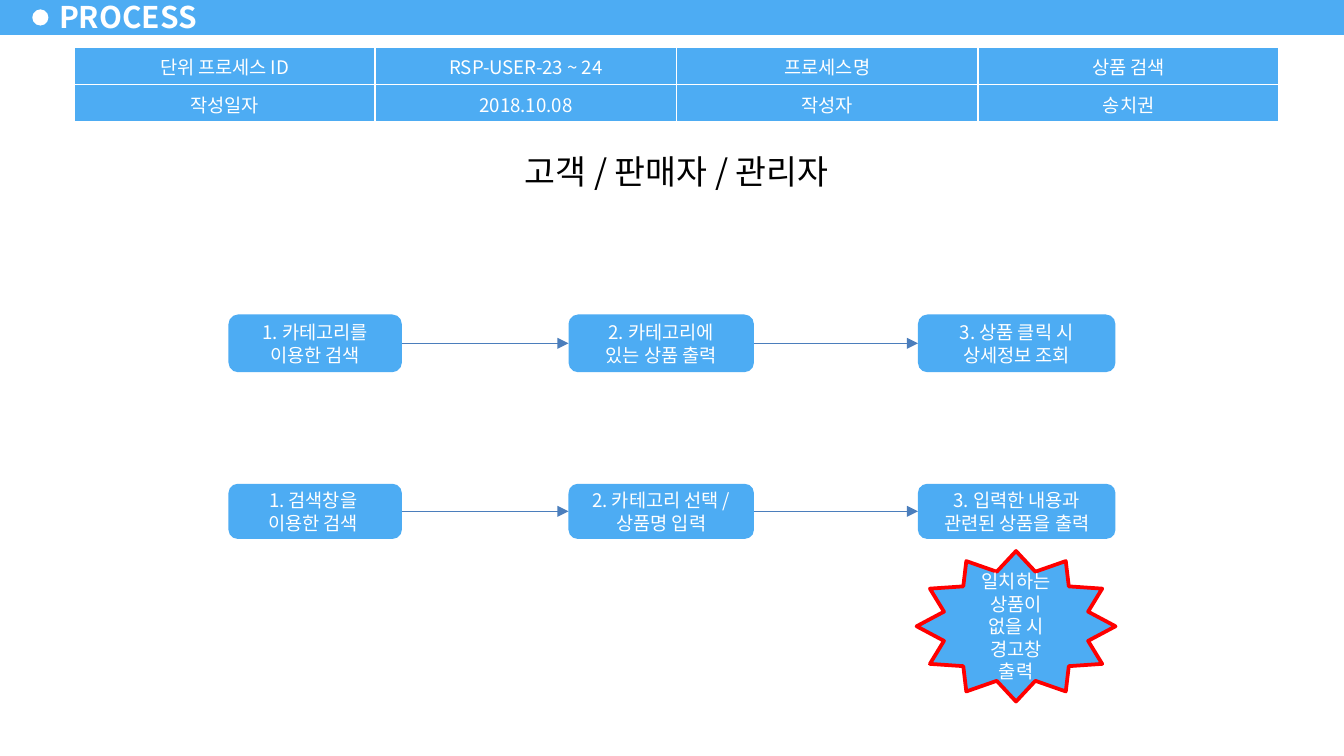
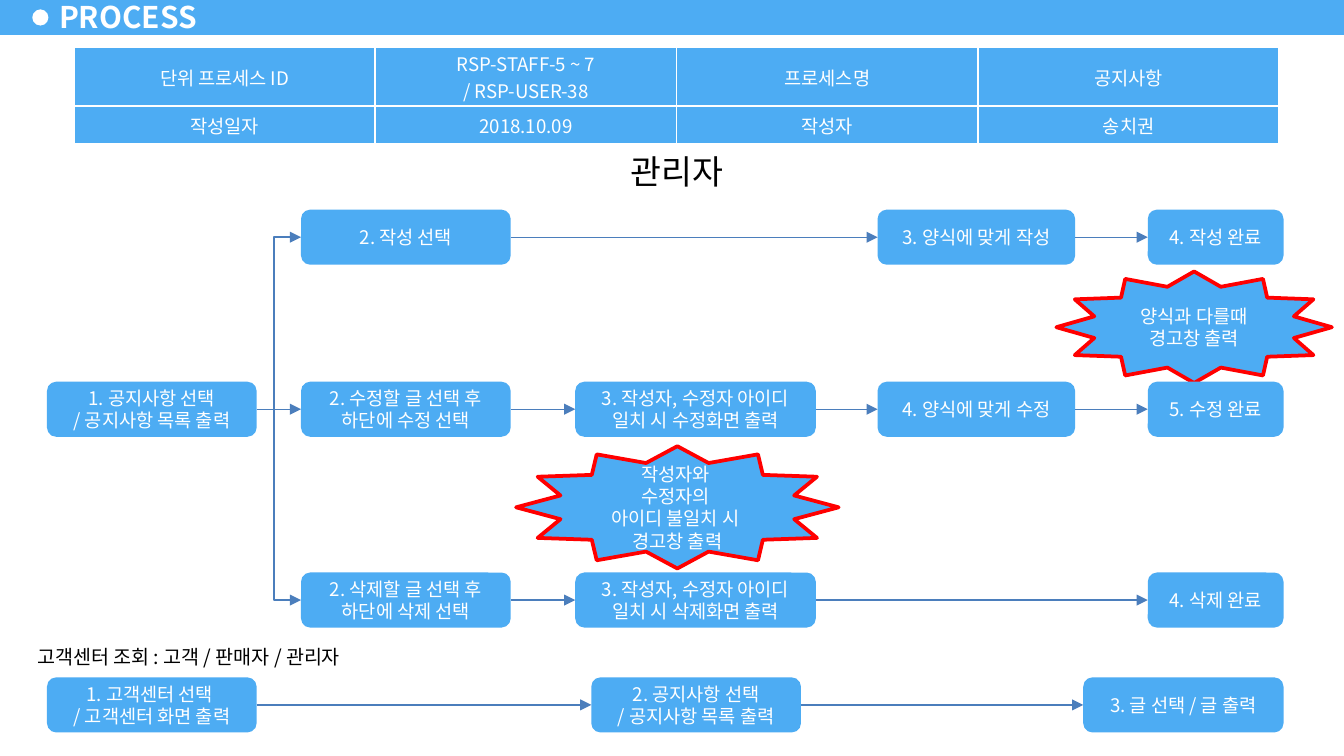
from dataclasses import dataclass

from lxml.etree import SubElement
from pptx import Presentation
from pptx.dml.color import RGBColor
from pptx.enum.shapes import MSO_CONNECTOR, MSO_SHAPE
from pptx.enum.text import MSO_ANCHOR, MSO_AUTO_SIZE, PP_ALIGN
from pptx.oxml.ns import qn
from pptx.util import Inches, Pt


@dataclass(frozen=True)
class Theme:
    """Colours, type sizes and line weights of the deck."""

    font: str = "Noto Sans CJK KR"
    blue: str = "4DACF3"
    arrow: str = "4B7EBC"
    red: str = "FF0000"
    white: str = "FFFFFF"
    black: str = "000000"
    title: float = 16
    heading: float = 18
    caption: float = 10.5
    body: float = 10
    thin: float = 0.75
    border: float = 1
    alert: float = 2


THEME = Theme()
LEFT_SIDE, RIGHT_SIDE = 1, 3
BOX_HEIGHT = 0.41
SEARCH_COLUMNS = [(1.7, 1.29), (4.23, 1.38), (6.83, 1.47)]
SEARCH_ROWS = [(2.34, 0.43), (3.6, 0.41)]
MENU, ACTION, CHECK, FORM, DONE = (
    (0.35, 1.56), (2.24, 1.56), (4.28, 1.79), (6.53, 1.47), (8.54, 1.01))
NOTICE, READ = (4.4, 1.56), (8.06, 1.49)
WRITE_ROW, EDIT_ROW, DELETE_ROW, CENTER_ROW = 1.56, 2.84, 4.26, 5.04
BRANCH = 2.04


def colour(value):
    """Turn a hex string into a colour."""
    return RGBColor.from_string(value)


def add_text(frame, text, size, ink, align=PP_ALIGN.CENTER, bold=False):
    """Write paragraphs split at newlines, with line breaks at vertical tabs."""
    for index, block in enumerate(text.split("\n")):
        para = frame.add_paragraph() if index else frame.paragraphs[0]
        para.alignment = align
        for number, line in enumerate(block.split("\v")):
            if number:
                para.add_line_break()
            span = para.add_run()
            span.text = line
            span.font.name = THEME.font
            span.font.size = Pt(size)
            span.font.bold = bold
            span.font.color.rgb = colour(ink)
            SubElement(span.font._element, qn("a:ea"), typeface=THEME.font)


def add_block(page, kind, area, fill, line=None):
    """Draw a filled preset shape without shadow."""
    shape = page.shapes.add_shape(kind, *map(Inches, area))
    shape.shadow.inherit = False
    shape.fill.solid()
    shape.fill.fore_color.rgb = colour(fill)
    if line:
        shape.line.color.rgb = colour(line)
        shape.line.width = Pt(THEME.alert)
    else:
        shape.line.fill.background()
    return shape


def add_step(page, column, top, text, height=BOX_HEIGHT):
    """Draw one rounded process step."""
    left, width = column
    box = add_block(page, MSO_SHAPE.ROUNDED_RECTANGLE,
                    (left, top, width, height), THEME.blue)
    box.text_frame.vertical_anchor = MSO_ANCHOR.MIDDLE
    box.text_frame.word_wrap = True
    add_text(box.text_frame, text, THEME.body, THEME.white)
    return box


def add_alert(page, area, text):
    """Draw a red-edged warning star."""
    star = add_block(page, MSO_SHAPE.STAR_12_POINT, area, THEME.blue, THEME.red)
    star.text_frame.vertical_anchor = MSO_ANCHOR.MIDDLE
    star.text_frame.word_wrap = True
    add_text(star.text_frame, text, THEME.body, THEME.white)


def add_label(page, area, text, size):
    """Draw a white label with black text."""
    label = add_block(page, MSO_SHAPE.RECTANGLE, area, THEME.white)
    label.text_frame.vertical_anchor = MSO_ANCHOR.TOP
    label.text_frame.word_wrap = True
    add_text(label.text_frame, text, size, THEME.black)


def style_arrow(arrow):
    """Give a connector its line, arrowhead and no shadow."""
    arrow.line.color.rgb = colour(THEME.arrow)
    arrow.line.width = Pt(THEME.thin)
    SubElement(arrow.line._get_or_add_ln(), qn("a:tailEnd"), type="triangle")
    SubElement(arrow.element.spPr, qn("a:effectLst"))


def add_link(page, source, target):
    """Connect the right side of one step to the left side of the next."""
    arrow = page.shapes.add_connector(MSO_CONNECTOR.STRAIGHT, 0, 0, 0, 0)
    arrow.begin_connect(source, RIGHT_SIDE)
    arrow.end_connect(target, LEFT_SIDE)
    style_arrow(arrow)


def add_branch(page, start, end):
    """Draw an arrow that runs vertically, then turns right."""
    (x1, y1), (x2, y2) = start, end
    middle_x, middle_y = (x1 + x2) / 2, (y1 + y2) / 2
    half_run, half_rise = abs(y2 - y1) / 2, (x2 - x1) / 2
    upward = y2 < y1
    side = half_rise if upward else -half_rise
    ends = (middle_x + half_run, middle_y + side, middle_x - half_run, middle_y - side)
    arrow = page.shapes.add_connector(MSO_CONNECTOR.ELBOW, *map(Inches, ends))
    properties = arrow.element.spPr
    properties.find(qn("a:xfrm")).set("rot", str((90 if upward else 270) * 60000))
    properties.find(qn("a:prstGeom")).set("prst", "bentConnector2")
    style_arrow(arrow)


def add_flow(page, top, steps, height=BOX_HEIGHT):
    """Draw a row of steps joined by arrows."""
    boxes = [add_step(page, column, top, text, height) for column, text in steps]
    for source, target in zip(boxes, boxes[1:]):
        add_link(page, source, target)


def style_cell(cell, text):
    """Fill a table cell and edge it in white."""
    cell.fill.solid()
    cell.fill.fore_color.rgb = colour(THEME.blue)
    cell.vertical_anchor = MSO_ANCHOR.MIDDLE
    cell.margin_left = cell.margin_right = Inches(0.1)
    cell.margin_top, cell.margin_bottom = Inches(0.02), Inches(0.01)
    add_text(cell.text_frame, text, THEME.body, THEME.white)
    properties = cell._tc.get_or_add_tcPr()
    for index, side in enumerate(("lnL", "lnR", "lnT", "lnB")):
        edge = SubElement(properties, qn(f"a:{side}"), w=str(Pt(THEME.border)))
        paint = SubElement(edge, qn("a:solidFill"))
        SubElement(paint, qn("a:srgbClr"), val=THEME.white)
        properties.insert(index, edge)


def add_summary(page, rows, heights):
    """Draw the process summary table."""
    area = map(Inches, (0.55, 0.35, 8.97, sum(heights)))
    table = page.shapes.add_table(len(rows), len(rows[0]), *area).table
    for row, height in zip(table.rows, heights):
        row.height = Inches(height)
    for row, texts in zip(table.rows, rows):
        for cell, text in zip(row.cells, texts):
            style_cell(cell, text)


def add_header(page, layout):
    """Draw the title band and move it to the shared layout."""
    for kind, area, fill in (
        (MSO_SHAPE.RECTANGLE, (0, -0.02, 10, 0.28), THEME.blue),
        (MSO_SHAPE.OVAL, (0.24, 0.07, 0.12, 0.12), THEME.white),
    ):
        layout.shapes.element.append(add_block(page, kind, area, fill).element)


def add_page(deck, layout, heading, rows, heights):
    """Start a process page with title, heading and summary."""
    page = deck.slides.add_slide(layout)
    title = page.shapes.title
    title.left, title.top, title.width, title.height = map(
        Inches, (0.35, -0.04, 1.22, 0.32))
    frame = title.text_frame
    frame.auto_size = MSO_AUTO_SIZE.NONE
    frame.vertical_anchor = MSO_ANCHOR.MIDDLE
    frame.margin_left = frame.margin_right = Inches(0.09)
    frame.margin_top = frame.margin_bottom = Inches(0.04)
    add_text(frame, "PROCESS", THEME.title, THEME.white, PP_ALIGN.LEFT, bold=True)
    add_label(page, (3.25, 1.07, 3.57, 0.41), heading, THEME.heading)
    add_summary(page, rows, heights)
    return page


def build_search(deck, layout):
    """Build the product search page."""
    page = add_page(deck, layout, "고객 / 판매자 / 관리자", [
        ("단위 프로세스 ID", "RSP-USER-23 ~ 24", "프로세스명", "상품 검색"),
        ("작성일자", "2018.10.08", "작성자", "송치권"),
    ], (0.28, 0.28))
    flows = [
        ("1. 카테고리를\v이용한 검색", "2. 카테고리에\n있는 상품 출력",
         "3. 상품 클릭 시\n상세정보 조회"),
        ("1. 검색창을 \v이용한 검색 ", "2. 카테고리 선택 / 상품명 입력",
         "3. 입력한 내용과\n관련된 상품을 출력"),
    ]
    for (top, height), texts in zip(SEARCH_ROWS, flows):
        add_flow(page, top, zip(SEARCH_COLUMNS, texts), height)
    add_alert(page, (6.82, 4.1, 1.48, 1.12),
              "일치하는\v상품이 없을 시\n경고창 출력")
    return page


def build_notice(deck, layout):
    """Build the notice board page."""
    page = add_page(deck, layout, "관리자", [
        ("단위 프로세스 ID", "RSP-STAFF-5 ~ 7\n/ RSP-USER-38", "프로세스명", "공지사항"),
        ("작성일자", "2018.10.09", "작성자", "송치권"),
    ], (0.44, 0.28))
    add_alert(page, (7.86, 2.02, 2.05, 0.83), "양식과 다를때\v경고창 출력")
    add_alert(page, (3.84, 3.32, 2.4, 0.91),
              "작성자와 \v수정자의 \v아이디 불일치 시 \v경고창 출력")
    add_flow(page, WRITE_ROW, [
        (ACTION, "2. 작성 선택"),
        (FORM, "3. 양식에 맞게 작성"),
        (DONE, "4. 작성 완료"),
    ])
    add_flow(page, EDIT_ROW, [
        (MENU, "1. 공지사항 선택\n/ 공지사항 목록 출력"),
        (ACTION, "2. 수정할 글 선택 후\n하단에 수정 선택"),
        (CHECK, "3. 작성자, 수정자 아이디 일치 시 수정화면 출력"),
        (FORM, "4. 양식에 맞게 수정"),
        (DONE, "5. 수정 완료"),
    ])
    add_flow(page, DELETE_ROW, [
        (ACTION, "2. 삭제할 글 선택 후\n하단에 삭제 선택"),
        (CHECK, "3. 작성자, 수정자 아이디 일치 시 삭제화면 출력"),
        (DONE, "4. 삭제 완료"),
    ])
    add_flow(page, CENTER_ROW, [
        (MENU, "1. 고객센터 선택 \n/ 고객센터 화면 출력"),
        (NOTICE, "2. 공지사항 선택\n/ 공지사항 목록 출력"),
        (READ, "3. 글 선택 / 글 출력"),
    ])
    middle = BOX_HEIGHT / 2
    for row in (WRITE_ROW, DELETE_ROW):
        add_branch(page, (BRANCH, EDIT_ROW + middle), (ACTION[0], row + middle))
    add_label(page, (0, 4.75, 2.81, 0.28),
              "고객센터 조회 : 고객 / 판매자 / 관리자", THEME.caption)


def main():
    """Build and save the deck."""
    deck = Presentation()
    deck.slide_width = Inches(10)
    deck.slide_height = deck.slide_width * 9 // 16
    layout = deck.slide_layouts.get_by_name("Title Only")
    page = build_search(deck, layout)
    add_header(page, layout)
    build_notice(deck, layout)
    deck.save("out.pptx")


main()
